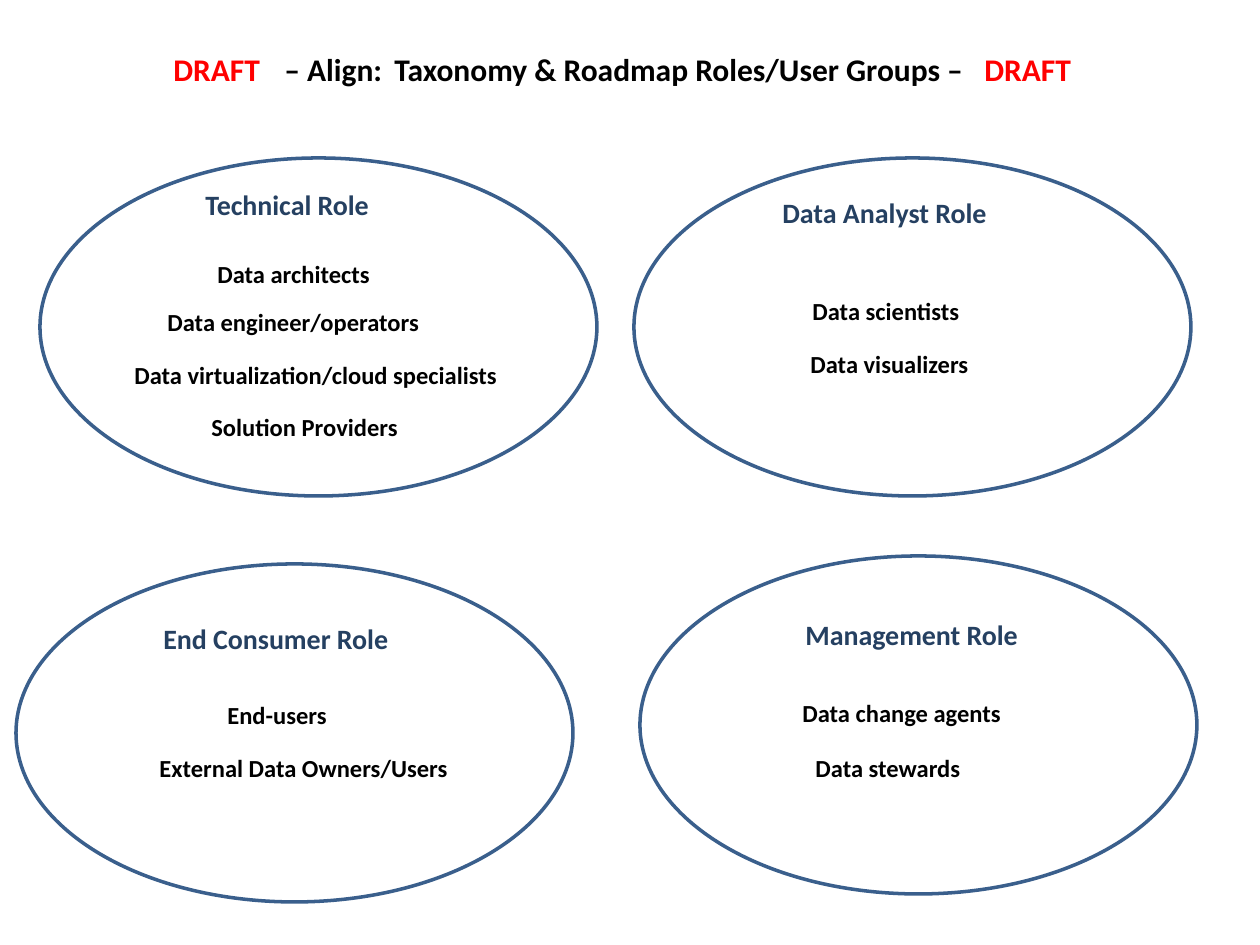
from lxml import etree
from pptx import Presentation
from pptx.dml.color import RGBColor
from pptx.enum.shapes import MSO_SHAPE
from pptx.enum.text import MSO_AUTO_SIZE
from pptx.oxml.ns import qn
from pptx.util import Emu, Pt

ELLIPSE = MSO_SHAPE.OVAL
GROW = MSO_AUTO_SIZE.SHAPE_TO_FIT_TEXT
PX = 914400 // 126
FONT = "Calibri"
BLACK = RGBColor(0x00, 0x00, 0x00)
RED = RGBColor(0xFF, 0x00, 0x00)
NAVY = RGBColor(0x25, 0x40, 0x61)
OUTLINE = RGBColor(0x3A, 0x5F, 0x8C)

# Content: positions are (left, top), each label is (text, left, top, width)
TITLE = [
    ("DRAFT\t", RED),
    ("– Align:\tTaxonomy & Roadmap Roles/User Groups –\t", BLACK),
    ("DRAFT", RED),
]
TITLE_TABS = (111, 221, 811)
ELLIPSE_SIZE = (557, 338)
ROLES = [
    {"ellipse": (40, 158),
     "heading": ("Technical Role", 193, 181, 190),
     "members": [("Data architects", 205, 253, 179),
                 ("Data engineer/operators", 155, 301, 278),
                 ("Data virtualization/cloud specialists", 122, 354, 392),
                 ("Solution Providers", 199, 406, 214)]},
    {"ellipse": (634, 158),
     "heading": ("Data Analyst Role", 770, 189, 232),
     "members": [("Data scientists", 800, 290, 174),
                 ("Data visualizers", 798, 343, 185)]},
    {"ellipse": (16, 564),
     "heading": ("End Consumer Role", 151, 615, 253),
     "members": [("End-users", 215, 694, 126),
                 ("External Data Owners/Users", 147, 747, 316)]},
    {"ellipse": (640, 556),
     "heading": ("Management Role", 793, 611, 241),
     "members": [("Data change agents", 790, 692, 226),
                 ("Data stewards", 803, 747, 171)]},
]


def px(*lengths):
    return [Emu(length * PX) for length in lengths]


def add_text(page, spans, left, top, width, height, size=14, wrap=False, tabs=()):
    """Add one bold line made of (text, colour) spans."""
    box = page.shapes.add_textbox(*px(left, top, width, height))
    frame = box.text_frame
    frame.word_wrap = wrap
    frame.auto_size = GROW
    para = frame.paragraphs[0]
    if tabs:
        tab_list = etree.SubElement(para._p.get_or_add_pPr(), qn("a:tabLst"))
        for stop in tabs:
            etree.SubElement(tab_list, qn("a:tab"), pos=str(stop * PX), algn="l")
    for text, color in spans:
        span = para.add_run()
        span.text = text
        span.font.name = FONT
        span.font.size = Pt(size)
        span.font.bold = True
        span.font.color.rgb = color


def add_ellipse(page, left, top):
    ellipse = page.shapes.add_shape(ELLIPSE, *px(left, top, *ELLIPSE_SIZE))
    ellipse.shadow.inherit = False
    ellipse.fill.background()
    ellipse.line.color.rgb = OUTLINE
    ellipse.line.width = Pt(2)


def main():
    deck = Presentation()
    deck.slide_width, deck.slide_height = px(1260, 945)
    page = deck.slides.add_slide(deck.slide_layouts[6])

    # Title
    add_text(page, TITLE, 161, 44, 940, 50, size=18, wrap=True, tabs=TITLE_TABS)

    # Role ellipses with their headings and members
    for role in ROLES:
        add_ellipse(page, *role["ellipse"])
        text, left, top, width = role["heading"]
        add_text(page, [(text, NAVY)], left, top, width, 47, size=16)
        for text, left, top, width in role["members"]:
            add_text(page, [(text, BLACK)], left, top, width, 43)

    deck.save("out.pptx")


if __name__ == "__main__":
    main()
